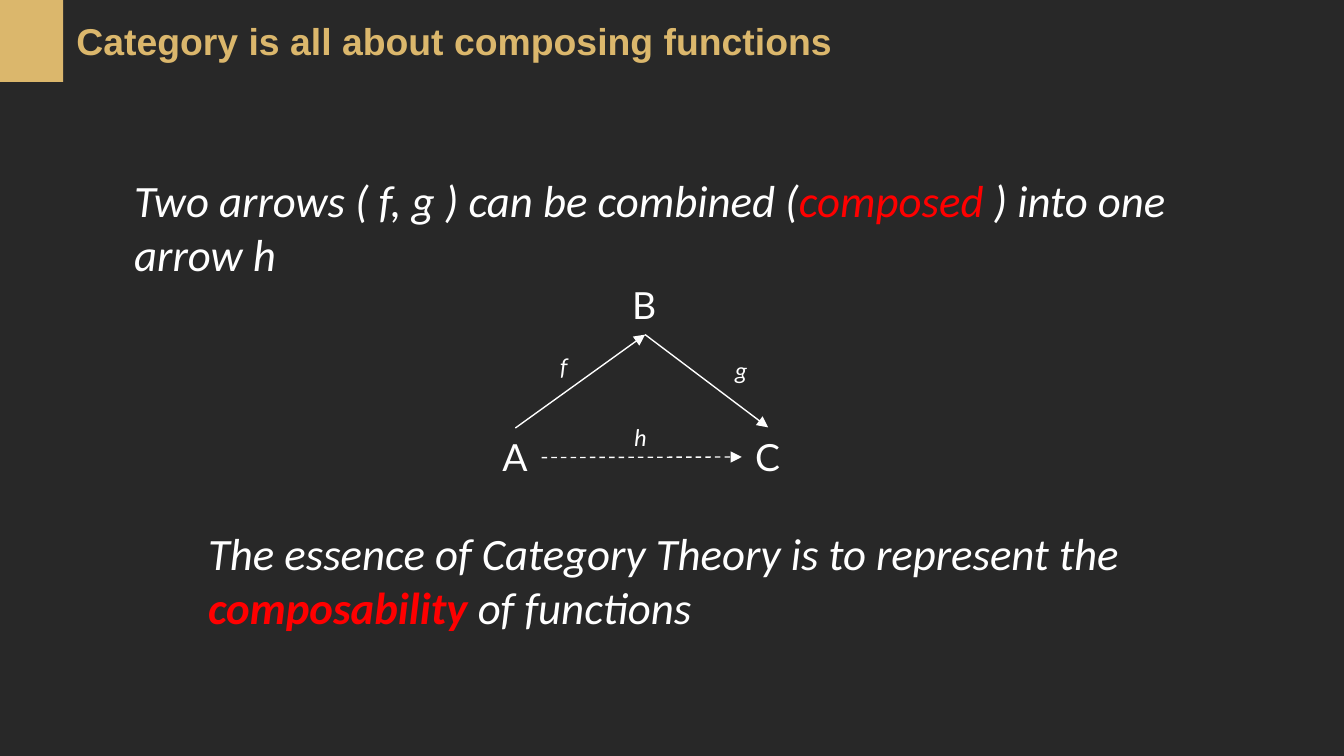
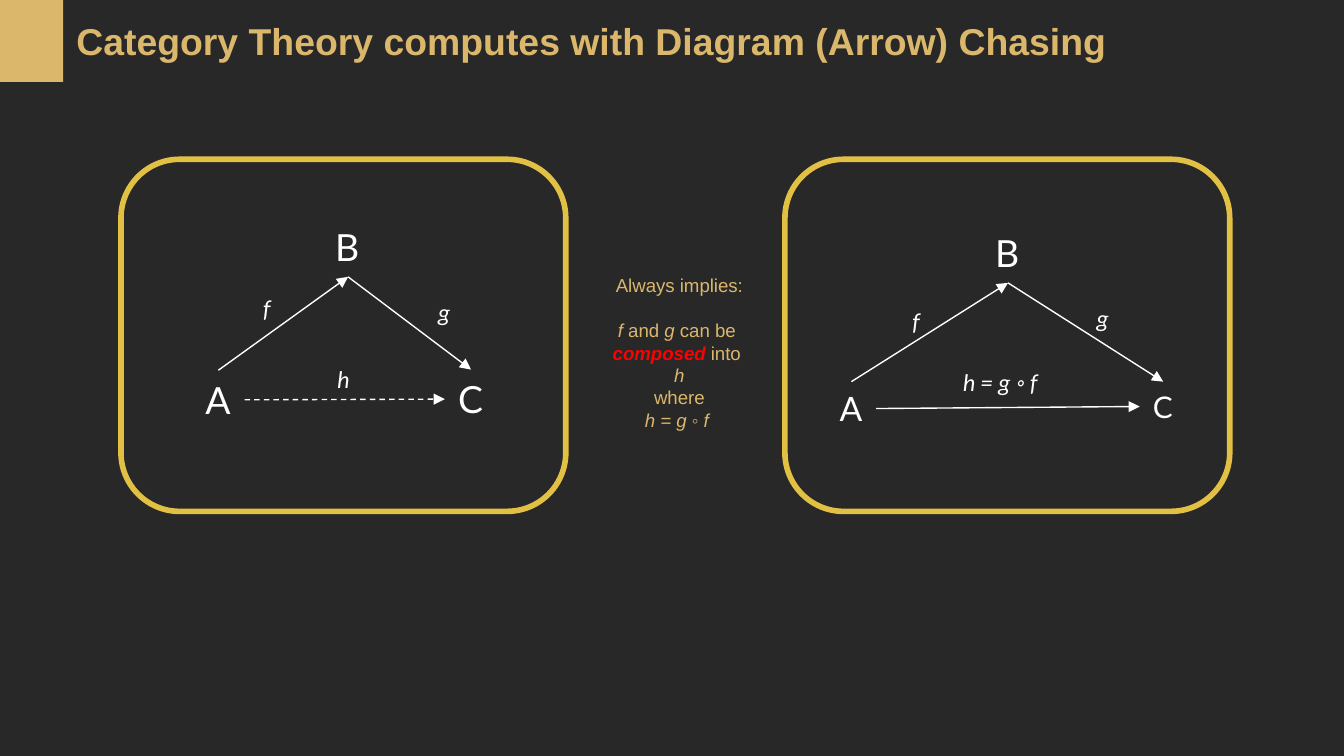
from lxml import etree
from pptx import Presentation, util as u
from pptx.dml.color import RGBColor
from pptx.enum import dml, shapes, text
from pptx.oxml.ns import qn

PX = 4572  # 200 px to the inch
GOLD, EDGE, WHITE, RED, DARK = "DBB76C", "E2C044", "FFFFFF", "FF0000", "282828"
rgb = RGBColor.from_string


def write(page, box, lines, size, face, wrap=False, align=None):
    """Each line is a list of runs: (words, colour, style letters b and i)."""
    area = page.shapes.add_textbox(*[n * PX for n in box])
    frame = area.text_frame
    frame.word_wrap = wrap
    frame.auto_size = text.MSO_AUTO_SIZE.SHAPE_TO_FIT_TEXT
    for k, line in enumerate(lines):
        para = frame.add_paragraph() if k else frame.paragraphs[0]
        para.alignment = align
        for words, tint, style in line:
            run = para.add_run()
            run.text = words
            font = run.font
            font.size, font.name = u.Pt(size), face
            font.bold, font.italic = "b" in style, "i" in style
            font.color.rgb = rgb(tint)
    return area


def join(page, start, out, end, into, dash):
    """Draw an arrow between two connection sites."""
    line = page.shapes.add_connector(shapes.MSO_CONNECTOR.STRAIGHT, 0, 0, 0, 0)
    line.begin_connect(start, out)
    line.end_connect(end, into)
    line.line.color.rgb = rgb(WHITE)
    line.line.width = u.Pt(0.75)
    if dash:
        line.line.dash_style = dml.MSO_LINE.DASH
    etree.SubElement(line.line._get_or_add_ln(), qn("a:tailEnd"), type="triangle")
    etree.SubElement(line._element.spPr, qn("a:effectLst"))


deck = Presentation()
deck.slide_width, deck.slide_height = 2000 * PX, 1125 * PX

# Title, gold block and background on both slides
pages = []
for title, wide in [("Category is all about composing functions", 1208),
                    ("Category Theory computes with Diagram (Arrow) Chasing", 1600)]:
    page = deck.slides.add_slide(deck.slide_layouts[6])
    page.background.fill.solid()
    page.background.fill.fore_color.rgb = rgb(DARK)
    write(page, (94, 17, wide, 88), [[(title, GOLD, "b")]], 20, "Arial")
    block = page.shapes.add_shape(shapes.MSO_SHAPE.RECTANGLE, 0, 0, 94 * PX, 122 * PX)
    block.shadow.inherit = False
    block.fill.solid()
    block.fill.fore_color.rgb = rgb(GOLD)
    block.line.fill.background()
    pages.append(page)
first, second = pages

# Statements above and below the first triangle
write(first, (180, 247, 1650, 182), [[
    ("Two arrows ( f, g ) can be combined (", WHITE, "i"),
    ("composed", RED, "i"),
    (" ) into one arrow h", WHITE, "i")]], 24, "Calibri", wrap=True)
write(first, (290, 773, 1418, 182), [[
    ("The essence of Category Theory is to represent the ", WHITE, "i"),
    ("composability ", RED, "bi"),
    ("of functions", WHITE, "i")]], 24, "Calibri", wrap=True)

# Frames around the two triangles of the second slide
for x in (180, 1168):
    frame = second.shapes.add_shape(shapes.MSO_SHAPE.ROUNDED_RECTANGLE,
                                    x * PX, 237 * PX, 662 * PX, 524 * PX)
    frame.shadow.inherit = False
    frame.fill.background()
    frame.line.color.rgb = rgb(EDGE)
    frame.line.width = u.Pt(3)

# Triangles: objects are (name, x, y, w, h, size), arrow names (name, x, y, w)
plain = ([("A", 0, 227, 78, 88, 20), ("B", 193, 0, 78, 88, 20),
          ("C", 376, 226, 78, 88, 20)],
         [("f", 86, 103, 52), ("g", 346, 109, 58), ("h", 196, 208, 58)])
solved = ([("A", 0, 235, 74, 80, 18), ("B", 231, 0, 78, 88, 20),
           ("C", 466, 235, 70, 74, 16)],
          [("f", 108, 113, 60), ("g", 382, 109, 58), ("h = g ◦ f", 183, 203, 162)])
for page, left, top, (nodes, names), dash in [(first, 728, 410, plain, True),
                                              (second, 286, 324, plain, True),
                                              (second, 1230, 333, solved, False)]:
    a, b, c = [write(page, (left + x, top + y, w, h), [[(name, WHITE, "")]], size, "Lato")
               for name, x, y, w, h, size in nodes]
    for name, x, y, w in names:
        write(page, (left + x, top + y, w, 64), [[(name, WHITE, "i")]], 13, "Calibri")
    join(page, a, 0, b, 2, False)
    join(page, b, 2, c, 0, False)
    join(page, a, 3, c, 1, dash)

# Implication between the frames
note = write(second, (891, 398, 240, 256), [
    [("Always implies:", GOLD, "")],
    [("f", GOLD, "i"), (" and", GOLD, ""), (" g", GOLD, "i"), (" can be ", GOLD, "")],
    [("composed", RED, "bi"), (" into ", GOLD, "")],
    [("h", GOLD, "i")],
    [("where", GOLD, "")],
    [("h = g ◦ f ", GOLD, "i")]], 10, "Arial", align=text.PP_ALIGN.CENTER)
note.text_frame.paragraphs[1].space_before = u.Pt(12)

deck.save("out.pptx")
